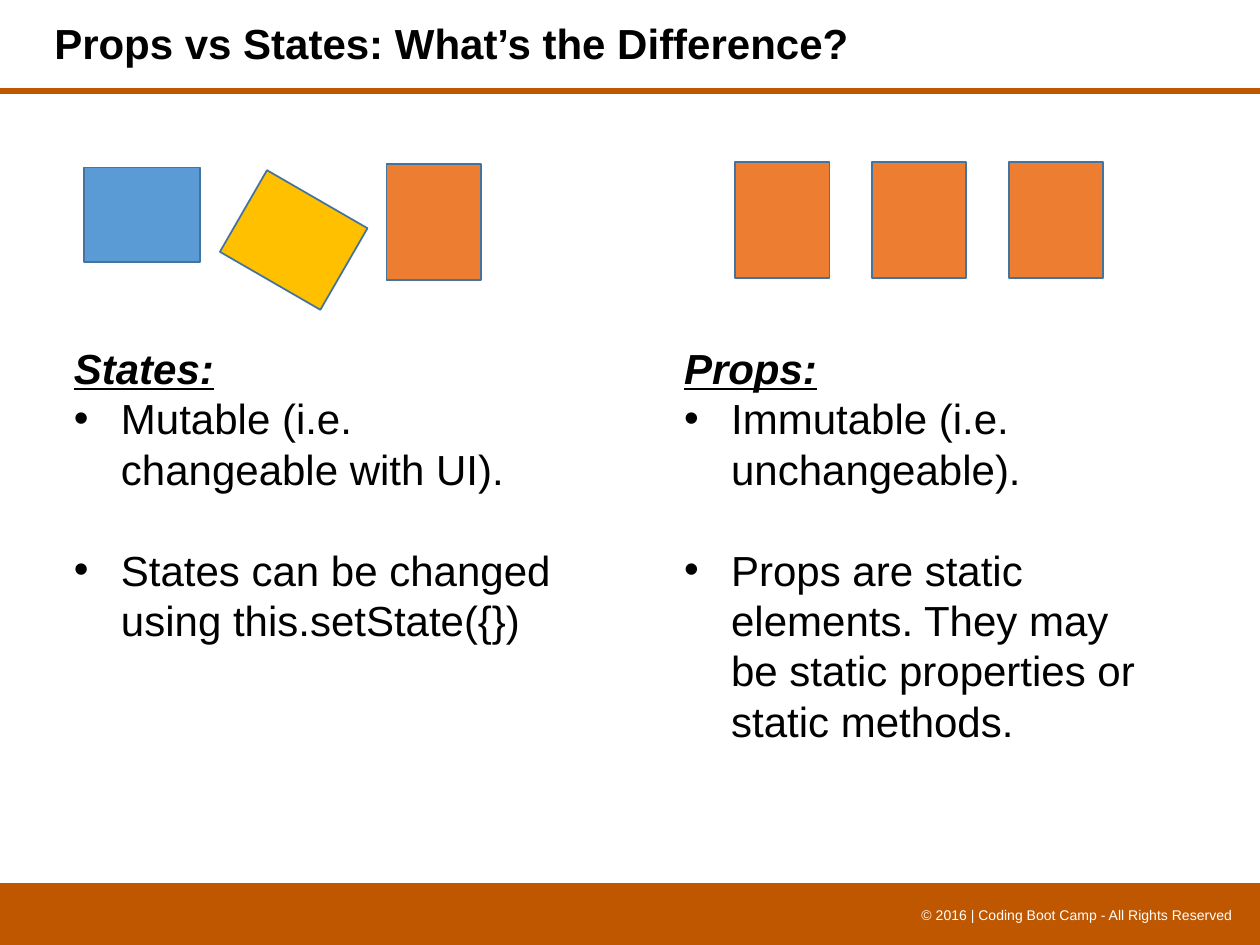
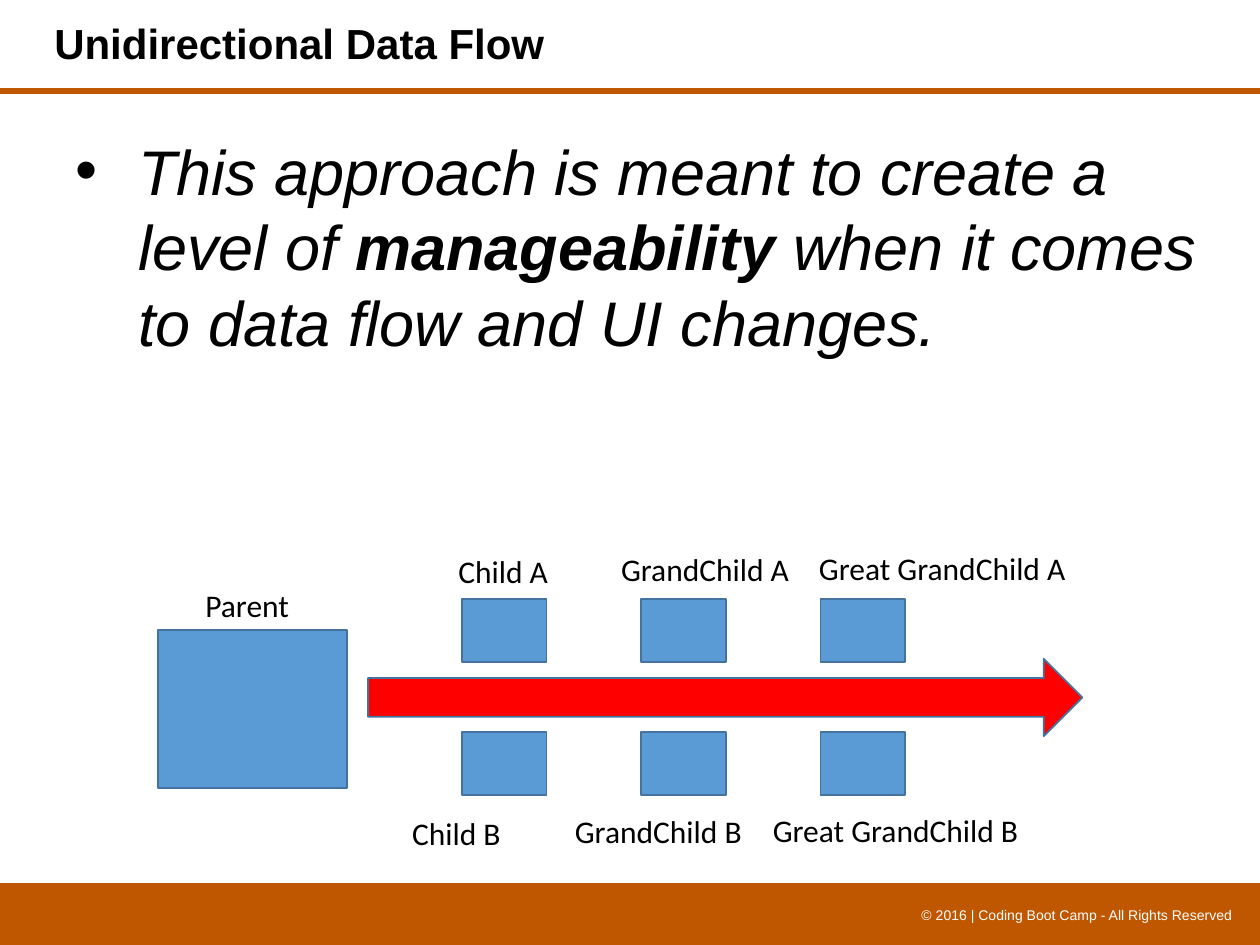
from lxml.etree import SubElement
from pptx import Presentation
from pptx.dml.color import RGBColor
from pptx.enum.shapes import MSO_CONNECTOR, MSO_SHAPE as Preset
from pptx.enum.text import MSO_ANCHOR as Anchor, MSO_AUTO_SIZE as AutoSize, PP_ALIGN as Align
from pptx.oxml.ns import qn
from pptx.util import Cm, Pt

COLORS = {
    "brand": "BF5700",
    "blue": "5B9BD5",
    "gold": "FFC000",
    "orange": "ED7D31",
    "red": "FF0000",
    "outline": "43739E",
    "ink": "000000",
    "paper": "FFFFFF",
}
HEADING_FONT = "Arial"
LABEL_FONT = "Calibri"
TITLE_ONLY = 5


class Deck:
    def __init__(self):
        self.prs = Presentation()
        self.prs.slide_width = Cm(25.4)
        self.prs.slide_height = Cm(19.05)
        self.slide = None

    def color(self, name):
        return RGBColor.from_string(COLORS[name])

    def style(self, paragraph, size, font=HEADING_FONT, color="ink", bold=False, italic=False, underline=False):
        for run in paragraph.runs:
            run.font.size = Pt(size)
            run.font.name = font
            run.font.color.rgb = self.color(color)
            run.font.bold = bold
            run.font.italic = italic
            run.font.underline = underline

    def new_slide(self, title, title_width):
        self.slide = self.prs.slides.add_slide(self.prs.slide_layouts[TITLE_ONLY])
        self.block(-0.03, 17.8, 25.43, 1.27, "brand", Preset.FLOWCHART_PROCESS, outline=None)
        self.rule(1.83)
        copyright_notice = self.text(17.35, 18.16, 7.75, 0.61).paragraphs[0]
        copyright_notice.text = "© 2016 | Coding Boot Camp - All Rights Reserved"
        copyright_notice.alignment = Align.RIGHT
        self.style(copyright_notice, 8, color="paper")
        self.title(title, title_width)

    def title(self, words, width):
        heading = self.slide.shapes.title
        heading.left, heading.top = Cm(0.84), Cm(0)
        heading.width, heading.height = Cm(width), Cm(1.83)
        frame = heading.text_frame
        frame.text = words
        frame.vertical_anchor = Anchor.MIDDLE
        frame.auto_size = AutoSize.NONE
        line = frame.paragraphs[0]
        line.alignment = Align.LEFT
        line.line_spacing = 0.9
        self.style(line, 24, bold=True)

    def rule(self, top):
        rule = self.slide.shapes.add_connector(MSO_CONNECTOR.STRAIGHT, Cm(0), Cm(top), Cm(25.4), Cm(top))
        rule.line.color.rgb = self.color("brand")
        rule.line.width = Pt(3.25)
        SubElement(rule._element.spPr, qn("a:effectLst"))

    def block(self, left, top, width, height, fill, preset=Preset.RECTANGLE, rotation=0, outline="outline"):
        block = self.slide.shapes.add_shape(preset, Cm(left), Cm(top), Cm(width), Cm(height))
        block.rotation = rotation
        block.shadow.inherit = False
        block.fill.solid()
        block.fill.fore_color.rgb = self.color(fill)
        if outline:
            block.line.color.rgb = self.color(outline)
            block.line.width = Pt(1)
        else:
            block.line.fill.background()

    def text(self, left, top, width, height, wrap=True):
        frame = self.slide.shapes.add_textbox(Cm(left), Cm(top), Cm(width), Cm(height)).text_frame
        frame.word_wrap = wrap
        frame.auto_size = AutoSize.SHAPE_TO_FIT_TEXT
        return frame

    def label(self, words, left, top, width):
        frame = self.text(left, top, width, 1.02, wrap=False)
        frame.text = words
        self.style(frame.paragraphs[0], 18, LABEL_FONT)

    def bullet(self, paragraph, indent):
        properties = paragraph._p.get_or_add_pPr()
        properties.set("marL", str(Cm(indent)))
        properties.set("indent", str(-Cm(indent)))
        SubElement(properties, qn("a:buFont"), typeface="Arial")
        SubElement(properties, qn("a:buChar"), char="•")

    def column(self, left, height, heading, points):
        frame = self.text(left, 6.78, 10.19, height)
        frame.text = heading
        self.style(frame.paragraphs[0], 24, bold=True, italic=True, underline=True)
        for point in points:
            paragraph = frame.add_paragraph()
            paragraph.text = point
            self.style(paragraph, 24)
            self.bullet(paragraph, 0.95)
            if point != points[-1]:
                paragraph.space_after = Pt(28.8)


def props_vs_states(deck):
    deck.new_slide("Props vs States: What’s the Difference?", 17.15)
    deck.column(1.24, 7.44, "States:", [
        "Mutable (i.e. changeable with UI).",
        "States can be changed using this.setState({})",
    ])
    deck.column(13.54, 8.46, "Props:", [
        "Immutable (i.e. unchangeable).",
        "Props are static elements. They may be static properties or static methods.",
    ])
    changing_states = [
        (1.7, 3.38, "blue", 0),
        (4.75, 3.89, "gold", 30),
        (7.57, 3.53, "orange", 90),
    ]
    fixed_props = [(14.6 + 2.76 * i, 3.48, "orange", 90) for i in range(3)]
    for left, top, fill, rotation in changing_states + fixed_props:
        deck.block(left, top, 2.34, 1.9, fill, rotation=rotation)


def data_flow(deck):
    deck.new_slide("Unidirectional Data Flow", 15.19)
    deck.block(7.42, 13.28, 14.4, 1.56, "red", Preset.RIGHT_ARROW)

    approach = deck.text(1.27, 2.54, 23.29, 7.95).paragraphs[0]
    for words in ("This approach is meant to create a level of ", "manageability",
                  " when it comes to data flow and UI changes."):
        approach.add_run().text = words
    deck.style(approach, 36, italic=True)
    approach.runs[1].font.bold = True
    deck.bullet(approach, 1.27)

    deck.block(3.18, 12.7, 3.81, 3.18, "blue")
    deck.label("Parent", 3.89, 11.68, 2.21)

    generations = [
        ("Child", 8.99, 11.0, 2.34),
        ("GrandChild", 12.27, 10.97, 3.94),
        ("Great GrandChild", 16.26, 10.95, 5.54),
    ]
    branches = [("A", 12.07, 0, 0), ("B", 14.76, -0.93, 5.28)]
    for branch, block_top, shift, drop in branches:
        for i, (generation, left, top, width) in enumerate(generations):
            deck.block(9.32 + 3.61 * i, block_top, 1.7, 1.27, "blue")
            deck.label(f"{generation} {branch}", left + shift, top + drop, width)


def main():
    deck = Deck()
    props_vs_states(deck)
    data_flow(deck)
    deck.prs.save("out.pptx")


if __name__ == "__main__":
    main()
